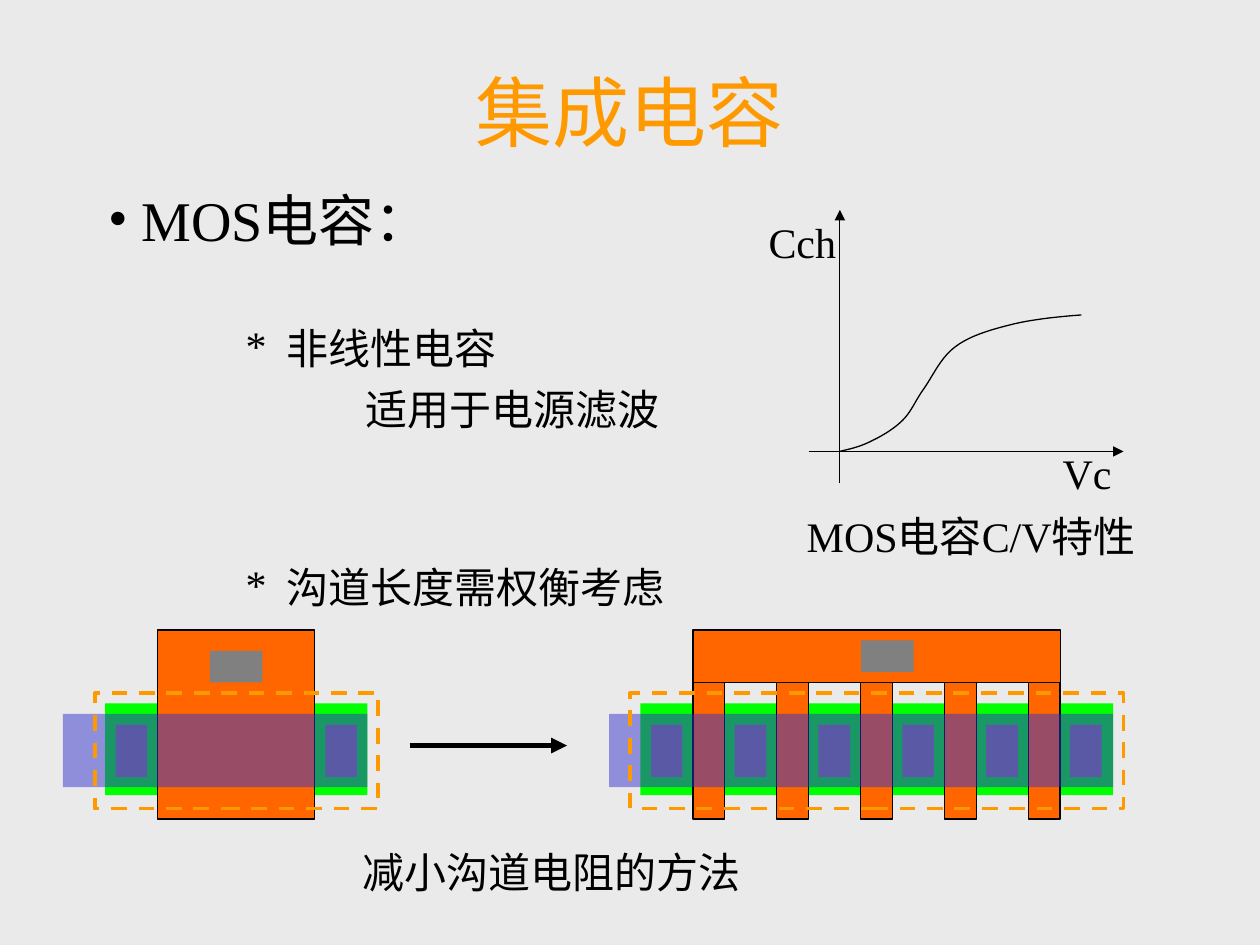
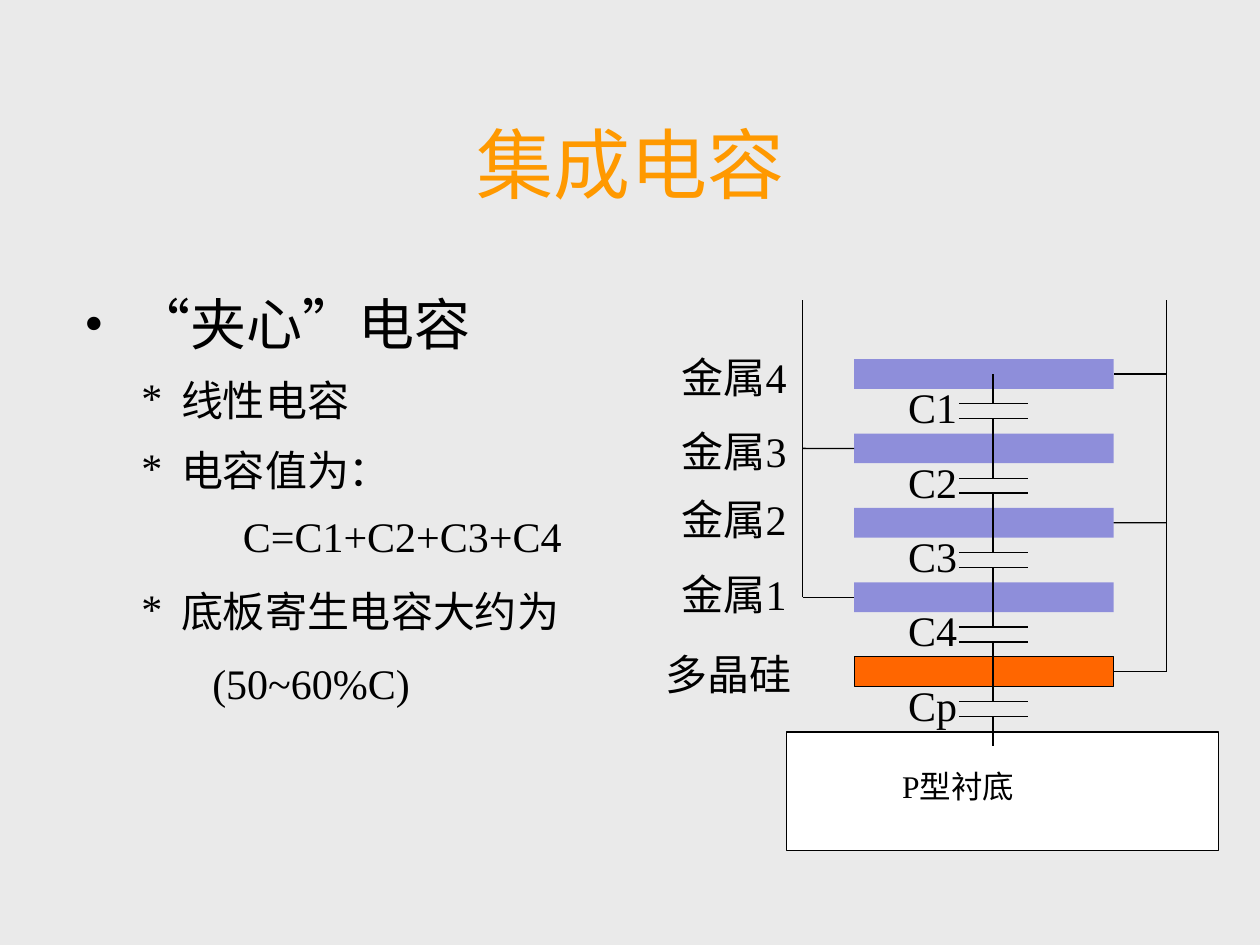
from lxml.etree import SubElement
from pptx import Presentation
from pptx.dml.color import RGBColor
from pptx.enum.dml import MSO_LINE_DASH_STYLE as Dash
from pptx.enum.shapes import MSO_CONNECTOR as Link, MSO_SHAPE as Preset
from pptx.enum.text import MSO_ANCHOR as Anchor, PP_ALIGN as Align
from pptx.oxml.ns import qn
from pptx.util import Cm, Pt

COLORS = {
    "background": "EAEAEA", "title": "FF9900", "ink": "000000", "well": "FF9900",
    "poly": "FF6600", "active": "00FF00", "contact": "808080", "metal": "3333CC",
    "substrate": "FFFFFF",
}
FONT = "Times New Roman"
TOP, LEFT, RIGHT = 0, 1, 3
PITCH = 1.5
PLATE_HEIGHT = 0.6
FINGER_PITCH = 1.69


def rgb(name):
    """Return the named palette colour."""
    return RGBColor.from_string(COLORS[name])


def format_runs(paragraph, size, color="ink"):
    """Apply the shared font to every run of a paragraph."""
    for run in paragraph.runs:
        run.font.name = FONT
        run.font.size = Pt(size)
        run.font.color.rgb = rgb(color)


def add_frame(slide, left, top, width, height):
    """Add a wrapping text box and return its text frame."""
    frame = slide.shapes.add_textbox(Cm(left), Cm(top), Cm(width), Cm(height)).text_frame
    frame.word_wrap = True
    return frame


def add_label(slide, text, left, top, width, size=24, height=1.27, color="ink"):
    """Add a centred single-line label and return its text frame."""
    frame = add_frame(slide, left, top, width, height)
    frame.text = text
    frame.paragraphs[0].alignment = Align.CENTER
    format_runs(frame.paragraphs[0], size, color)
    return frame


def add_topic_slide(deck, title, left, top, width):
    """Add a blank slide with the shared background and title style."""
    slide = deck.slides.add_slide(deck.slide_layouts[6])
    slide.background.fill.solid()
    slide.background.fill.fore_color.rgb = rgb("background")
    heading = add_label(slide, title, left, top, width, 44, 3.18, "title")
    heading.vertical_anchor = Anchor.MIDDLE
    return slide


def add_outline(slide, box, points):
    """Add body text from (text, size, bullet, margin, hanging, space before) rows."""
    frame = add_frame(slide, *box)
    for index, (text, size, bullet, margin, hanging, before) in enumerate(points):
        paragraph = frame.add_paragraph() if index else frame.paragraphs[0]
        paragraph.text = text
        paragraph.space_before = Pt(before)
        properties = paragraph._p.get_or_add_pPr()
        properties.set("marL", str(Cm(margin)))
        properties.set("indent", str(-Cm(hanging)))
        if bullet:
            SubElement(properties, qn("a:buFont"), typeface=FONT)
            SubElement(properties, qn("a:buChar"), char=bullet)
        format_runs(paragraph, size)


def add_layer(slide, left, top, width, height, color=None, border=None, opacity=100):
    """Add a rectangle for one layer of the device."""
    layer = slide.shapes.add_shape(Preset.RECTANGLE, Cm(left), Cm(top), Cm(width), Cm(height))
    layer.shadow.inherit = False
    if color:
        layer.fill.solid()
        layer.fill.fore_color.rgb = rgb(color)
    else:
        layer.fill.background()
    if border:
        layer.line.color.rgb = rgb(border)
        layer.line.width = Pt(0.75)
    else:
        layer.line.fill.background()
    if opacity < 100:
        tint = layer.fill._xPr.find(qn("a:solidFill"))[0]
        SubElement(tint, qn("a:alpha"), val=str(opacity * 1000))
    return layer


def add_well(slide, left, width):
    """Add the dashed well outline."""
    well = add_layer(slide, left, 13.97, width, 2.33, border="well")
    well.line.width = Pt(2.25)
    well.line.dash_style = Dash.DASH


def add_wire(slide, x1, y1, x2, y2, weight=0.75, arrow=False):
    """Add a straight line, with an arrowhead at its end if asked."""
    wire = slide.shapes.add_connector(Link.STRAIGHT, Cm(x1), Cm(y1), Cm(x2), Cm(y2))
    wire.line.color.rgb = rgb("ink")
    wire.line.width = Pt(weight)
    if arrow:
        SubElement(wire.line._get_or_add_ln(), qn("a:tailEnd"), type="triangle")
    SubElement(wire._element.spPr, qn("a:effectLst"))
    return wire


def add_curve(slide, knots, steps=10):
    """Draw a chain of cubic Bezier segments as one fine open outline."""
    trace = []
    for first in range(0, len(knots) - 1, 3):
        segment = knots[first:first + 4]
        for step in range(1, steps + 1):
            t = step / steps
            weights = ((1 - t) ** 3, 3 * t * (1 - t) ** 2, 3 * t * t * (1 - t), t ** 3)
            trace.append(tuple(Cm(sum(w * knot[axis] for w, knot in zip(weights, segment)))
                               for axis in (0, 1)))
    builder = slide.shapes.build_freeform(Cm(knots[0][0]), Cm(knots[0][1]))
    builder.add_line_segments(trace, close=False)
    curve = builder.convert_to_shape()
    curve.shadow.inherit = False
    curve.fill.background()
    curve.line.color.rgb = rgb("ink")
    curve.line.width = Pt(0.75)


def add_cv_plot(slide):
    """Draw the capacitance against voltage sketch with its labels."""
    add_wire(slide, 16.93, 9.74, 16.93, 4.23, arrow=True)
    add_wire(slide, 16.3, 9.1, 22.65, 9.1, arrow=True)
    add_curve(slide, [
        (16.93, 9.1), (17.15, 9.05), (17.36, 9), (17.57, 8.89),
        (17.78, 8.79), (18.02, 8.65), (18.2, 8.47),
        (18.38, 8.29), (18.45, 8.08), (18.63, 7.83),
        (18.8, 7.59), (18.97, 7.2), (19.26, 6.99),
        (19.54, 6.78), (19.9, 6.67), (20.32, 6.56),
        (20.74, 6.45), (21.26, 6.39), (21.8, 6.35),
    ])
    add_label(slide, "Vc", 20.96, 8.89, 1.91)
    add_label(slide, "Cch", 15.03, 4.23, 2.29)
    add_label(slide, "MOS电容C/V特性", 15.45, 10.16, 8.26)


def add_mos_layout(slide, active, gates, gate_contact, contacts, metal, well):
    """Draw the top view of a MOS capacitor; spans are (left, width) pairs."""
    add_layer(slide, active[0], 14.18, active[1], 1.85, "active")
    for gate in gates:
        add_layer(slide, *gate, "poly", "ink")
    add_layer(slide, *gate_contact, 1.06, 0.64, "contact")
    for left in contacts:
        add_layer(slide, left, 14.61, 0.64, 1.06, "contact")
    add_layer(slide, metal[0], 14.39, metal[1], 1.48, "metal", opacity=50)
    add_well(slide, *well)


def add_stacked_capacitor(slide, name, top):
    """Draw a capacitor symbol between two stacked layers and label it."""
    center, left, right = 20.02, 19.33, 20.73
    for offset in (0.6, 0.9):
        add_wire(slide, left, top + offset, right, top + offset)
    for start, end in ((0, 0.6), (0.9, PITCH)):
        add_wire(slide, center, top + start, center, top + end)
    add_label(slide, name, 17.58, top + 0.03, 2.44)


def build_mos_slide(deck):
    """Build the slide on MOS capacitors."""
    slide = add_topic_slide(deck, "集成电容", 0, 0.64, 25.4)
    add_outline(slide, (1.93, 3.61, 21.34, 13.34), [
        ("MOS电容：", 32, "•", 0.67, 0.67, 0),
        ("非线性电容", 24, "*", 3.6, 0.83, 40),
        ("适用于电源滤波", 24, None, 5.19, 0, 6),
        ("沟道长度需权衡考虑", 24, "*", 3.6, 0.83, 73),
    ])
    add_cv_plot(slide)
    add_mos_layout(
        slide, active=(2.12, 5.29), gates=[(3.18, 12.7, 3.16, 3.81)],
        gate_contact=(4.23, 13.12), contacts=(2.33, 6.56),
        metal=(1.27, 6.14), well=(1.91, 5.72))
    fingers = [(13.97 + FINGER_PITCH * i, 13.76, 0.64, 2.75) for i in range(5)]
    add_mos_layout(
        slide, active=(12.91, 9.53), gates=[(13.97, 12.7, 7.41, 1.06), *fingers],
        gate_contact=(17.36, 12.91),
        contacts=[13.12 + FINGER_PITCH * i for i in range(6)],
        metal=(12.28, 10.16), well=(12.7, 9.95))
    add_wire(slide, 8.26, 15.03, 11.43, 15.03, weight=3, arrow=True)
    add_label(slide, "减小沟道电阻的方法", 6.99, 16.93, 8.26)


def build_sandwich_slide(deck):
    """Build the slide on sandwich capacitors."""
    slide = add_topic_slide(deck, "集成电容", 1.91, 1.69, 21.59)
    add_outline(slide, (1.06, 5.72, 14.4, 11.43), [
        ("“夹心”电容", 32, "•", 1.4, 1, 0),
        ("线性电容", 24, "*", 2.34, 0.8, 10),
        ("电容值为：", 24, "*", 2.34, 0.8, 11),
        ("底板寄生电容大约为", 24, "*", 2.34, 0.8, 52),
        ("(50~60%C)", 24, None, 2.97, 0, 12),
    ])
    add_layer(slide, 15.85, 14.76, 8.71, 2.39, "substrate", "ink")
    add_label(slide, "P型衬底", 16.18, 15.34, 6.27, 18, 1.02)

    stack_top = 7.24
    plates = []
    for level in range(5):
        box = (17.22, stack_top + PITCH * level, 5.23, PLATE_HEIGHT)
        if level < 4:
            plates.append(add_layer(slide, *box, "metal", opacity=50))
        else:
            plates.append(add_layer(slide, *box, "poly", "ink"))

    centers = [stack_top + PLATE_HEIGHT / 2 + PITCH * level for level in range(5)]
    for name, center in zip(("C1", "C2", "C3", "C4", "Cp"), centers):
        add_stacked_capacitor(slide, name, center)

    left_rail, right_rail, rail_top = 16.18, 23.52, 6.05
    add_wire(slide, left_rail, centers[3], left_rail, rail_top)
    add_wire(slide, right_rail, centers[4], right_rail, rail_top)
    for level, (plate, center) in enumerate(zip(plates, centers)):
        rail, side = (left_rail, LEFT) if level % 2 else (right_rail, RIGHT)
        add_wire(slide, rail, center, rail, center).end_connect(plate, side)

    add_label(slide, "C=C1+C2+C3+C4", 4.45, 10.16, 7.32)
    for name, top in (("金属4", 6.96), ("金属3", 8.46), ("金属2", 9.83), ("金属1", 11.33)):
        add_label(slide, name, 13.06, top, 3.48)
    add_label(slide, "多晶硅", 12.5, 12.95, 4.39)


def main():
    """Build and save the deck."""
    deck = Presentation()
    deck.slide_width, deck.slide_height = Cm(25.4), Cm(19.05)
    build_mos_slide(deck)
    build_sandwich_slide(deck)
    deck.save("out.pptx")


if __name__ == "__main__":
    main()
